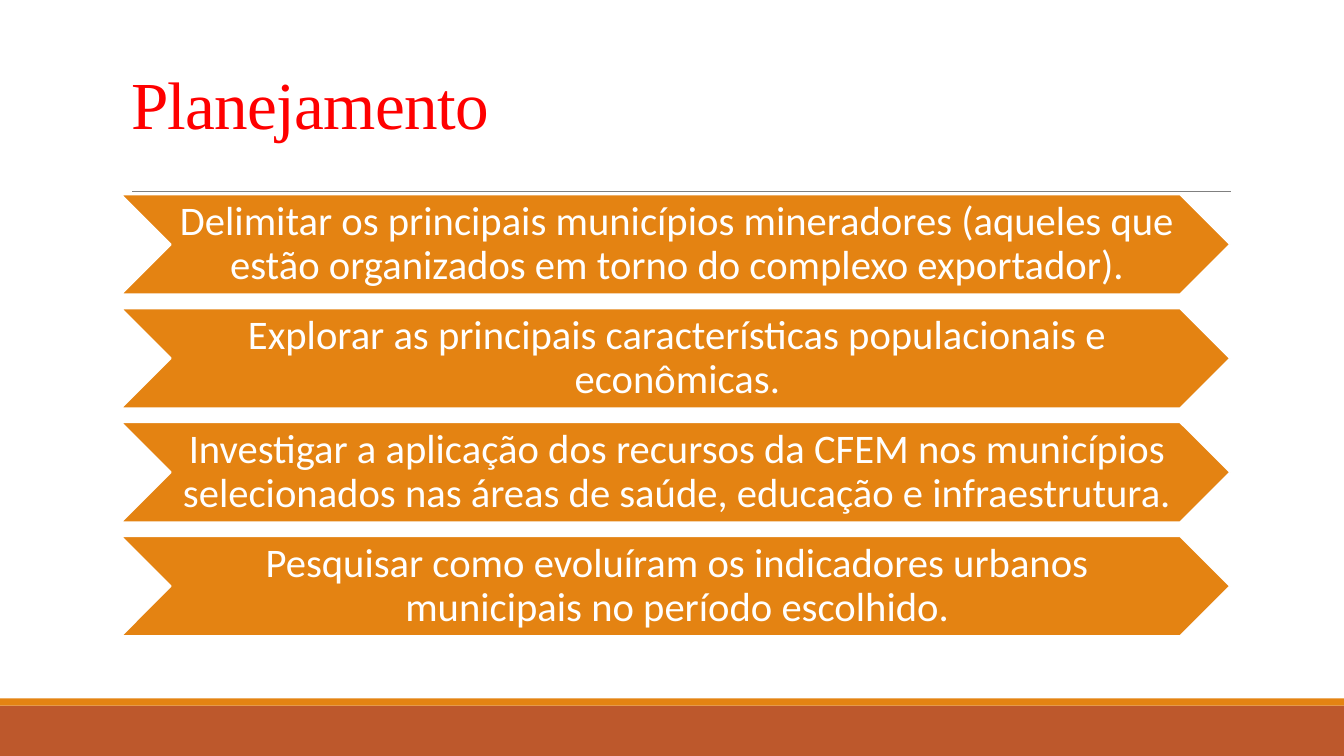
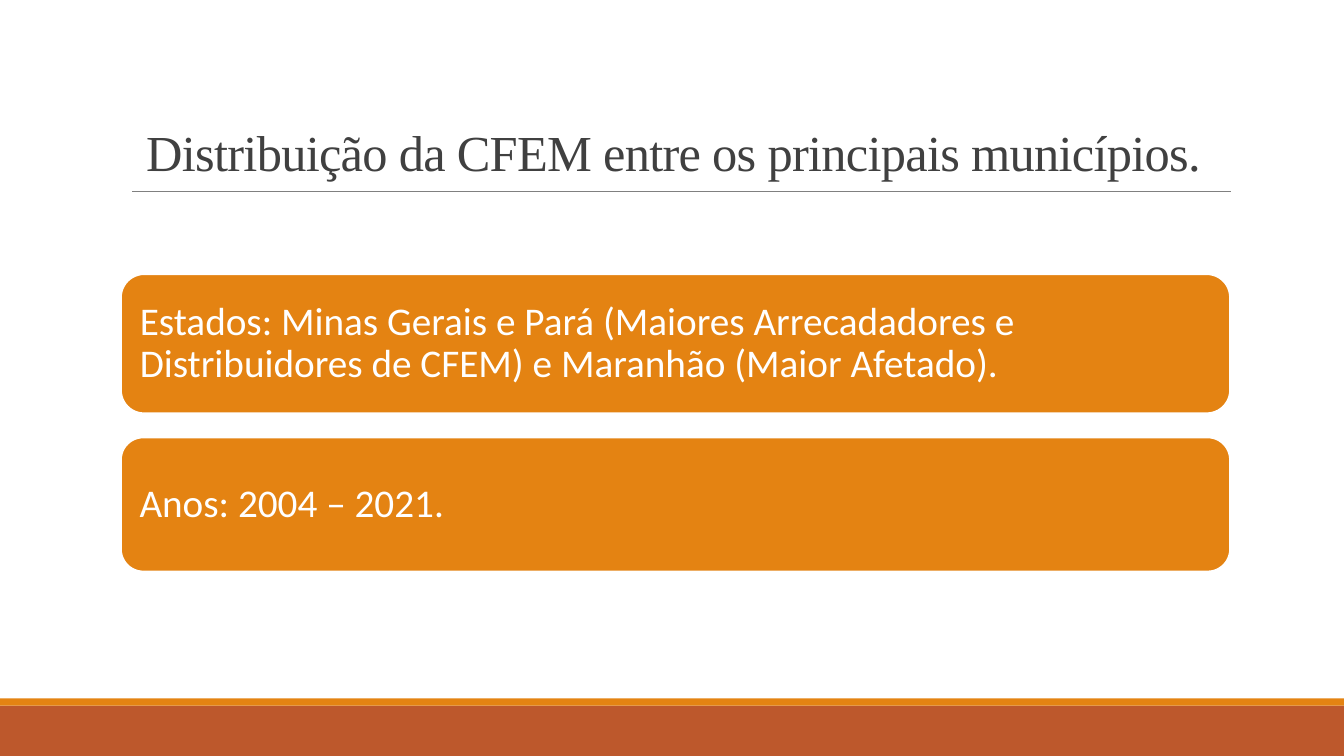
from dataclasses import dataclass

import pptx
import pptx.dml.color
import pptx.enum.shapes
import pptx.enum.text
import pptx.oxml
import pptx.util

EMU_PER_PX = 9144  # 100 px to the inch
SHAPE = pptx.enum.shapes.MSO_SHAPE
ALIGN = pptx.enum.text.PP_ALIGN
ANCHOR = pptx.enum.text.MSO_ANCHOR


@dataclass(frozen=True)
class Theme:
    band: str = "BD582C"
    accent: str = "E48312"
    rule: str = "808080"
    paper: str = "FFFFFF"
    dark: str = "404040"
    red: str = "FF0000"
    title_font: str = "Times New Roman"
    body_font: str = "Calibri"
    title_size: int = 48
    long_title_size: int = 36
    step_size: int = 29
    card_size: int = 28


THEME = Theme()
WIDTH, HEIGHT = 1333, 750

STEPS = [
    "Delimitar os principais municípios mineradores (aqueles que estão organizados em torno do complexo exportador).",
    "Explorar as principais características populacionais e econômicas.",
    "Investigar a aplicação dos recursos da CFEM nos municípios selecionados nas áreas de saúde, educação e infraestrutura.",
    "Pesquisar como evoluíram os indicadores urbanos municipais no período escolhido.",
]
CARDS = [
    ("Estados: Minas Gerais e Pará (Maiores Arrecadadores e Distribuidores de CFEM) e Maranhão (Maior Afetado).", 138),
    ("Anos: 2004 – 2021.", 133),
]


def px(*lengths):
    return [pptx.util.Emu(length * EMU_PER_PX) for length in lengths]


def rgb(color):
    return pptx.dml.color.RGBColor.from_string(color)


def style_para(para, font, size, color, line_spacing, align):
    para.alignment = align
    para.line_spacing = line_spacing
    para.font.name = font
    para.font.size = pptx.util.Pt(size)
    para.font.color.rgb = rgb(color)


def add_filled(page, kind, box, fill, outline=None):
    shape = page.shapes.add_shape(kind, *px(*box))
    shape.shadow.inherit = False
    shape.fill.solid()
    shape.fill.fore_color.rgb = rgb(fill)
    if outline:
        shape.line.color.rgb = rgb(outline)
        shape.line.width = pptx.util.Pt(1.25)
    else:
        shape.line.fill.background()
    return shape


def add_rule(page, left, top, right):
    rule = page.shapes.add_connector(
        pptx.enum.shapes.MSO_CONNECTOR.STRAIGHT, *px(left, top, right, top))
    rule.line.color.rgb = rgb(THEME.rule)
    rule.line.width = pptx.util.Pt(0.5)
    rule.element.spPr.append(pptx.oxml.parse_xml(
        '<a:effectLst xmlns:a="http://schemas.openxmlformats.org/drawingml/2006/main"/>'))
    return rule


def move_frame_to_layout(page, layout):
    """Draw the footer bands and title rule, then hand them to the layout all pages share."""
    parts = [
        add_filled(page, SHAPE.RECTANGLE, (0, 700, WIDTH, HEIGHT - 700), THEME.band),
        add_filled(page, SHAPE.RECTANGLE, (0, 693, WIDTH, 7), THEME.accent),
        add_rule(page, 131, 190, 1221),
    ]
    for number, part in enumerate(parts, start=101):
        part.element.xpath(".//p:cNvPr")[0].set("id", str(number))
        layout.shapes.element.append(part.element)


def set_title(page, text, box, size, color):
    title = page.shapes.title
    title.left, title.top, title.width, title.height = px(*box)
    frame = title.text_frame
    frame.text = text
    frame.auto_size = pptx.enum.text.MSO_AUTO_SIZE.NONE
    frame.vertical_anchor = ANCHOR.BOTTOM
    para = frame.paragraphs[0]
    style_para(para, THEME.title_font, size, color, 0.85, ALIGN.LEFT)
    para.runs[0].font._element.set("spc", "-50")


def add_panel(page, kind, box, text, size, align, insets):
    panel = add_filled(page, kind, box, THEME.accent, THEME.paper)
    frame = panel.text_frame
    frame.word_wrap = True
    frame.vertical_anchor = ANCHOR.MIDDLE
    (frame.margin_left, frame.margin_top,
     frame.margin_right, frame.margin_bottom) = px(*insets)
    frame.text = text
    style_para(frame.paragraphs[0], THEME.body_font, size, THEME.paper, 0.9, align)


def add_steps(page, box, steps, gap):
    left, top, width, height = box
    step_height = (height - gap * (len(steps) - 1)) // len(steps)
    for index, text in enumerate(steps):
        step_top = top + index * (step_height + gap)
        add_panel(page, SHAPE.CHEVRON, (left, step_top, width, step_height),
                  text, THEME.step_size, ALIGN.CENTER, (4, 2, 0, 2))


def add_cards(page, left, top, width, cards, gap):
    for text, height in cards:
        add_panel(page, SHAPE.ROUNDED_RECTANGLE, (left, top, width, height),
                  text, THEME.card_size, ALIGN.LEFT, (12, 12, 12, 12))
        top += height + gap


def main():
    deck = pptx.Presentation()
    deck.slide_width, deck.slide_height = px(WIDTH, HEIGHT)
    layout = deck.slide_layouts.get_by_name("Title Only")

    planning = deck.slides.add_slide(layout)
    move_frame_to_layout(planning, layout)
    set_title(planning, "Planejamento", (120, 31, 1100, 116),
              THEME.title_size, THEME.red)
    add_steps(planning, (120, 193, 1100, 438), STEPS, gap=14)

    distribution = deck.slides.add_slide(layout)
    set_title(distribution, "Distribuição da CFEM entre os principais municípios.",
              (135, 45, 1125, 140), THEME.long_title_size, THEME.dark)
    add_cards(distribution, 120, 272, 1100, CARDS, gap=24)

    deck.save("out.pptx")


if __name__ == "__main__":
    main()
